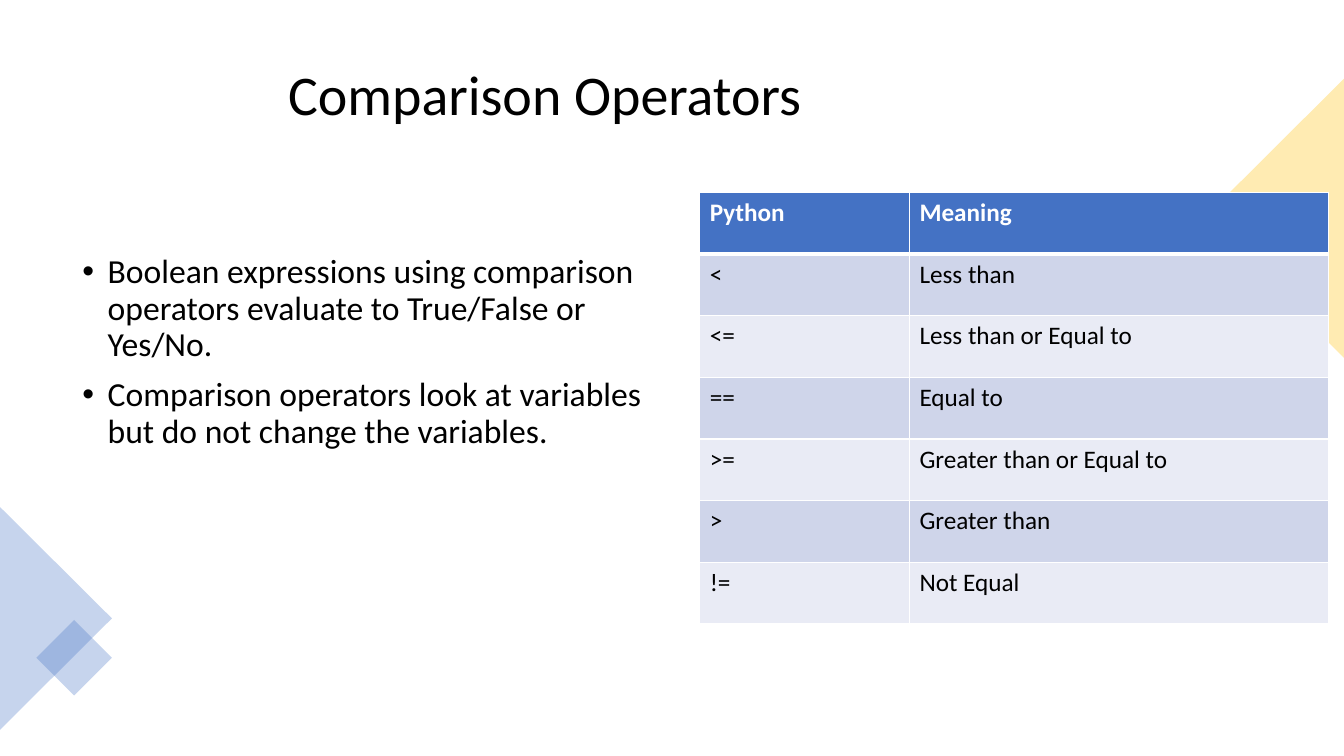
import pptx
import pptx.dml.color
import pptx.enum.shapes
import pptx.enum.text
import pptx.oxml
import pptx.oxml.ns
import pptx.util
from lxml import etree

theme = {
    "font": "Calibri", "text": "000000", "white": "FFFFFF",
    "blue": "4472C4", "gold": "FFC000", "bands": ("CFD5EA", "E9EBF5"),
    "title": 40, "body": 24, "cell": 18, "opacity": 30,
}
qn = pptx.oxml.ns.qn
rgb = pptx.dml.color.RGBColor.from_string
inches = pptx.util.Inches
WIDTH, HEIGHT = 13.33, 7.5


def write(para, text, size, color=theme["text"], bold=False, bullet=False, spacing=None, before=0):
    if bullet:
        props = para._p.get_or_add_pPr()
        props.set("marL", str(inches(0.25)))
        props.set("indent", str(-inches(0.25)))
        etree.SubElement(props, qn("a:buFont")).set("typeface", "Arial")
        etree.SubElement(props, qn("a:buChar")).set("char", "•")
    para.line_spacing = spacing
    para.space_before = pptx.util.Pt(before)
    span = para.add_run()
    span.text = text
    span.font.name = theme["font"]
    span.font.size = pptx.util.Pt(size)
    span.font.bold = bold
    span.font.color.rgb = rgb(color)


def add_border(cell, position, side, width):
    line = etree.Element(qn(f"a:ln{side}"), w=str(pptx.util.Pt(width)))
    fill = etree.SubElement(line, qn("a:solidFill"))
    etree.SubElement(fill, qn("a:srgbClr")).set("val", theme["white"])
    cell._tc.get_or_add_tcPr().insert(position, line)


deck = pptx.Presentation()
deck.slide_width, deck.slide_height = inches(WIDTH), inches(HEIGHT)
page = deck.slides.add_slide(deck.slide_layouts[6])

# Title
title = page.shapes.add_textbox(inches(2.76), inches(0.35), inches(WIDTH - 3.46), inches(1.24))
title.text_frame.word_wrap = True
title.text_frame.vertical_anchor = pptx.enum.text.MSO_ANCHOR.MIDDLE
write(title.text_frame.paragraphs[0], "Comparison Operators", theme["title"], spacing=0.9)

# Bullet points
points = (
    "Boolean expressions using comparison operators evaluate to True/False or Yes/No.",
    "Comparison operators look at variables but do not change the variables.",
)
body = page.shapes.add_textbox(inches(0.72), inches(2.48), inches(6.14), inches(4.28))
body.text_frame.word_wrap = True
for index, point in enumerate(points):
    para = body.text_frame.add_paragraph() if index else body.text_frame.paragraphs[0]
    write(para, point, theme["body"], bullet=True, spacing=0.9, before=10 if index else 0)

# Translucent corner decorations
kinds = pptx.enum.shapes.MSO_SHAPE
decorations = (
    (kinds.ISOSCELES_TRIANGLE, 11.25, 1.47, 2.77, 1.39, 270, "gold"),
    (kinds.ISOSCELES_TRIANGLE, -0.55, 5.58, 2.21, 1.11, 90, "blue"),
    (kinds.RECTANGLE, 0.47, 6.26, 0.53, 0.53, 45, "blue"),
)
for kind, left, top, width, height, angle, color in decorations:
    shape = page.shapes.add_shape(kind, inches(left), inches(top), inches(width), inches(height))
    shape.rotation = angle
    shape.shadow.inherit = False
    shape.line.fill.background()
    shape.fill.solid()
    shape.fill.fore_color.rgb = rgb(theme[color])
    tint = shape._element.spPr.find(qn("a:solidFill")).find(qn("a:srgbClr"))
    etree.SubElement(tint, qn("a:alpha")).set("val", str(theme["opacity"] * 1000))

# Operator table
rows = (
    ("Python", "Meaning"),
    ("<", "Less than"),
    ("<=", "Less than or Equal to"),
    ("==", "Equal to"),
    (">=", "Greater than or Equal to"),
    (">", "Greater than"),
    ("!=", "Not Equal"),
)
table_width, table_height = 6.24, 4.28
table = page.shapes.add_table(len(rows), 2, inches(6.94), inches(1.91),
                              inches(table_width), inches(table_height)).table
for column, share in zip(table.columns, (1 / 3, 2 / 3)):
    column.width = inches(table_width * share)
for row_index, row in enumerate(rows):
    header = row_index == 0
    for column_index, text in enumerate(row):
        cell = table.cell(row_index, column_index)
        cell.fill.solid()
        cell.fill.fore_color.rgb = rgb(theme["blue"] if header else theme["bands"][(row_index - 1) % 2])
        write(cell.text_frame.paragraphs[0], text, theme["cell"], bold=header,
              color=theme["white"] if header else theme["text"])
        widths = {"L": 1, "R": 1, "T": 3 if row_index == 1 else 1, "B": 3 if header else 1}
        for position, (side, width) in enumerate(widths.items()):
            add_border(cell, position, side, width)

deck.save("out.pptx")
